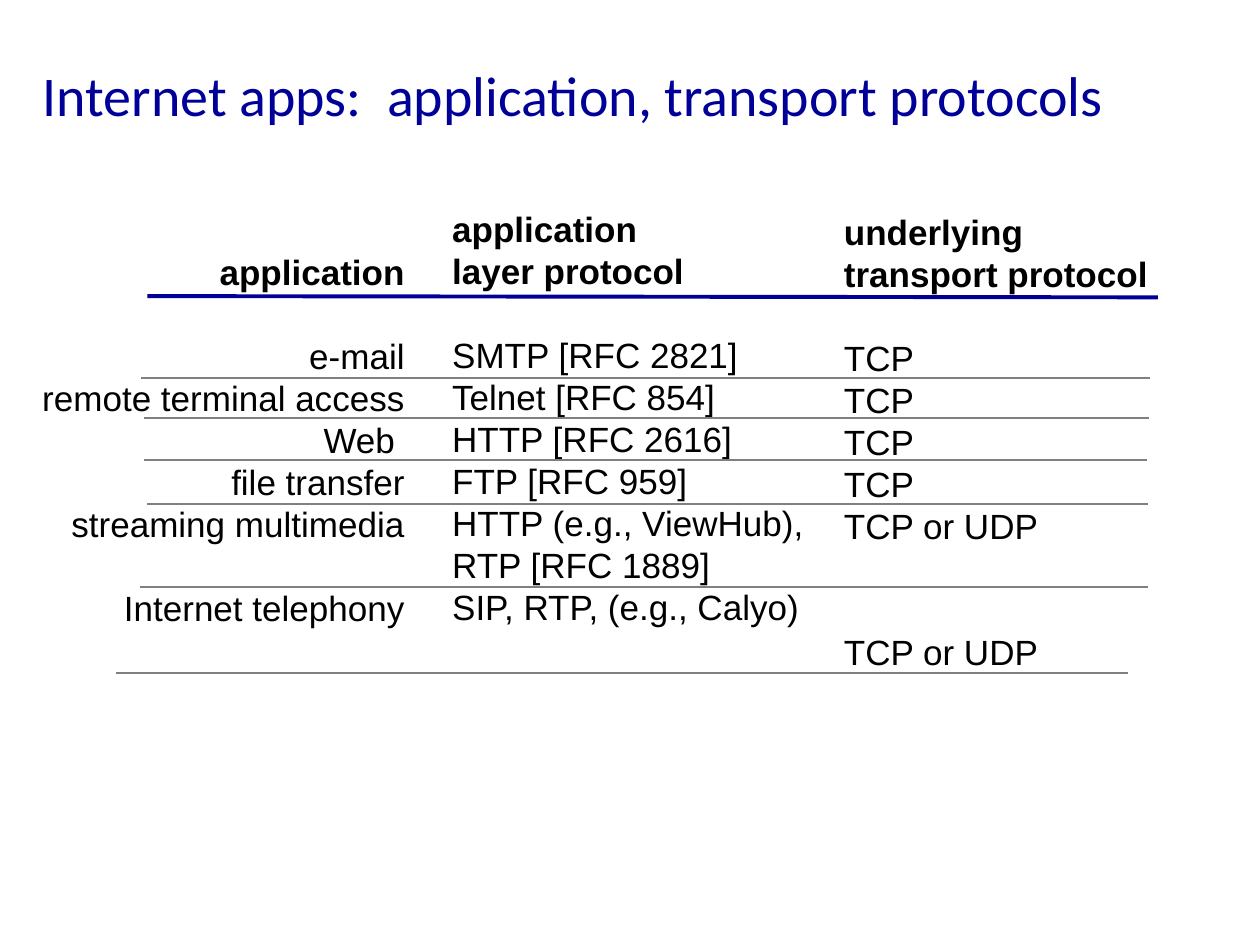
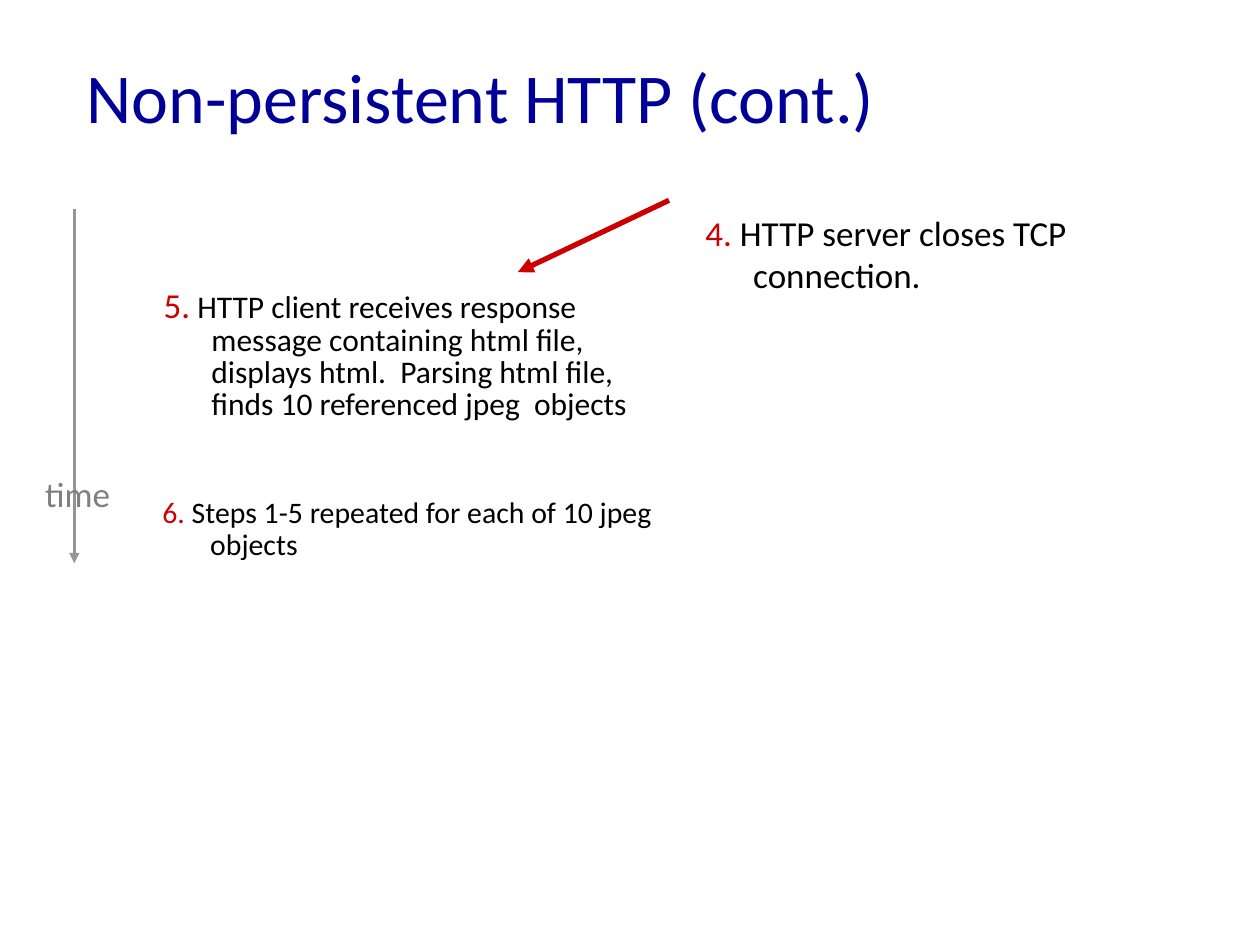
from pptx import Presentation
from pptx.dml.color import RGBColor
from pptx.enum.shapes import MSO_CONNECTOR as Connector
from pptx.enum.text import MSO_ANCHOR as Anchor, PP_ALIGN as Align
from pptx.oxml.ns import qn
from pptx.util import Inches, Pt
from lxml.etree import SubElement

COLORS = {
    "title": "000099",
    "text": "000000",
    "accent": "CC0000",
    "rule": "808080",
    "time axis": "969696",
}
COLUMNS, ROWS = 100, 75
WIDTH, HEIGHT = Inches(10), Inches(7.5)
LINE_HEIGHT = Pt(24)
HANGING_INDENT = Inches(0.38)


def set_all(target, values):
    for name, value in values.items():
        setattr(target, name, value)


class Deck:
    """Holds the shared style, the grid and the slide being built."""

    def __init__(self):
        self.presentation = Presentation()
        set_all(self.presentation, {"slide_width": WIDTH, "slide_height": HEIGHT})
        self.slide = None

    def across(self, columns):
        return round(WIDTH * columns / COLUMNS)

    def down(self, rows):
        return round(HEIGHT * rows / ROWS)

    def add_slide(self):
        blank = self.presentation.slide_layouts[6]
        self.slide = self.presentation.slides.add_slide(blank)

    def add_box(self, place, wrap=True, anchor=Anchor.TOP):
        left, top, width, height = place
        box = self.slide.shapes.add_textbox(
            self.across(left), self.down(top), self.across(width), self.down(height))
        set_all(box.text_frame, {"word_wrap": wrap, "vertical_anchor": anchor})
        return box.text_frame

    def add_run(self, paragraph, text, size, color="text", font="Calibri", bold=False):
        run = paragraph.add_run()
        run.text = text
        set_all(run.font, {"name": font, "size": Pt(size), "bold": bold})
        run.font.color.rgb = RGBColor.from_string(COLORS[color])

    def add_label(self, place, text, size, color, **box_format):
        """Adds one line of text and returns its paragraph."""
        paragraph = self.add_box(place, **box_format).paragraphs[0]
        self.add_run(paragraph, text, size, color)
        return paragraph

    def add_title(self, place, text, size):
        self.add_label(place, text, size, "title", anchor=Anchor.MIDDLE)

    def add_column(self, place, header, entries, align=Align.LEFT):
        """Adds bold header lines, then (text, empty lines above) entries."""
        frame = self.add_box(place)
        lines = [(text, 0, True) for text in header]
        lines += [(text, gap, False) for text, gap in entries]
        for index, (text, gap, bold) in enumerate(lines):
            paragraph = frame.add_paragraph() if index else frame.paragraphs[0]
            set_all(paragraph, {"alignment": align, "line_spacing": LINE_HEIGHT})
            if gap:
                paragraph.space_before = LINE_HEIGHT * gap
            for part_index, part in enumerate(text.split("\n")):
                if part_index:
                    paragraph.add_line_break()
                self.add_run(paragraph, part, 20, font="Arial", bold=bold)

    def add_step(self, place, number, text, number_size, size, spacing=1.0):
        """Adds a step with a coloured number and a hanging indent."""
        paragraph = self.add_box(place).paragraphs[0]
        properties = paragraph._p.get_or_add_pPr()
        properties.set("marL", str(HANGING_INDENT))
        properties.set("indent", str(-HANGING_INDENT))
        paragraph.line_spacing = spacing
        self.add_run(paragraph, number, number_size, "accent")
        self.add_run(paragraph, f" {text}", size)

    def add_line(self, start, end, color, weight, arrow=False):
        line = self.slide.shapes.add_connector(
            Connector.STRAIGHT, self.across(start[0]), self.down(start[1]),
            self.across(end[0]), self.down(end[1]))
        line.line.color.rgb = RGBColor.from_string(COLORS[color])
        line.line.width = Pt(weight)
        if arrow:
            SubElement(line.line._get_or_add_ln(), qn("a:tailEnd"), type="triangle")
        SubElement(line._element.spPr, qn("a:effectLst"))


def add_protocols_slide(deck):
    deck.add_slide()
    deck.add_title((2.4, 2.9, 95.7, 9.2),
                   "Internet apps:  application, transport protocols", 32)
    deck.add_column(
        (1.9, 19.4, 31.2, 34.4), ["application"],
        [("e-mail", 1), ("remote terminal access", 0), ("Web ", 0),
         ("file transfer", 0), ("streaming multimedia", 0),
         ("Internet telephony", 1)], Align.RIGHT)
    deck.add_column(
        (34.9, 16, 30.9, 34.4), ["application", "layer protocol"],
        [("SMTP [RFC 2821]", 1), ("Telnet [RFC 854]", 0), ("HTTP [RFC 2616]", 0),
         ("FTP [RFC 959]", 0), ("HTTP (e.g., ViewHub), \nRTP [RFC 1889]", 0),
         ("SIP, RTP, (e.g., Calyo)", 0)])
    deck.add_column(
        (66, 16.2, 28.7, 37.7), ["underlying", "transport protocol"],
        [("TCP", 1), ("TCP", 0), ("TCP", 0), ("TCP", 0),
         ("TCP or UDP", 0), ("TCP or UDP", 2)])

    deck.add_line((11.7, 23.5), (91.9, 23.6), "title", 2.25)
    row_rules = [(11.2, 91.3, 30), (11.4, 91.2, 33.2), (11.4, 91, 36.5),
                 (11.7, 91.1, 40), (11.1, 91.1, 46.6), (9.2, 89.5, 53.4)]
    for left, right, row in row_rules:
        deck.add_line((left, row), (right, row), "rule", 1)


def add_http_slide(deck):
    deck.add_slide()
    deck.add_title((5.9, 2.8, 85, 9.5), "Non-persistent HTTP (cont.)", 40)
    deck.add_step((12, 22.5, 41.7, 16.8), "5.",
                  "HTTP client receives response message containing html file, "
                  "displays html.  Parsing html file, finds 10 referenced jpeg  objects",
                  20, 18, 0.85)
    deck.add_step((11.9, 39, 41.7, 7.3), "6.",
                  "Steps 1-5 repeated for each of 10 jpeg objects", 17, 17, 0.9)
    deck.add_step((55, 16.3, 41.7, 8), "4.",
                  "HTTP server closes TCP connection.", 20, 20)
    deck.add_line((5.9, 16.6), (5.9, 44.7), "time axis", 1.5, arrow=True)
    time_label = deck.add_label((2.2, 37, 7.9, 4.4), "time", 20, "rule", wrap=False)
    time_label.alignment = Align.CENTER
    deck.add_line((53.1, 15.9), (41.1, 21.6), "accent", 3, arrow=True)


def main():
    deck = Deck()
    add_protocols_slide(deck)
    add_http_slide(deck)
    deck.presentation.save("out.pptx")


if __name__ == "__main__":
    main()
